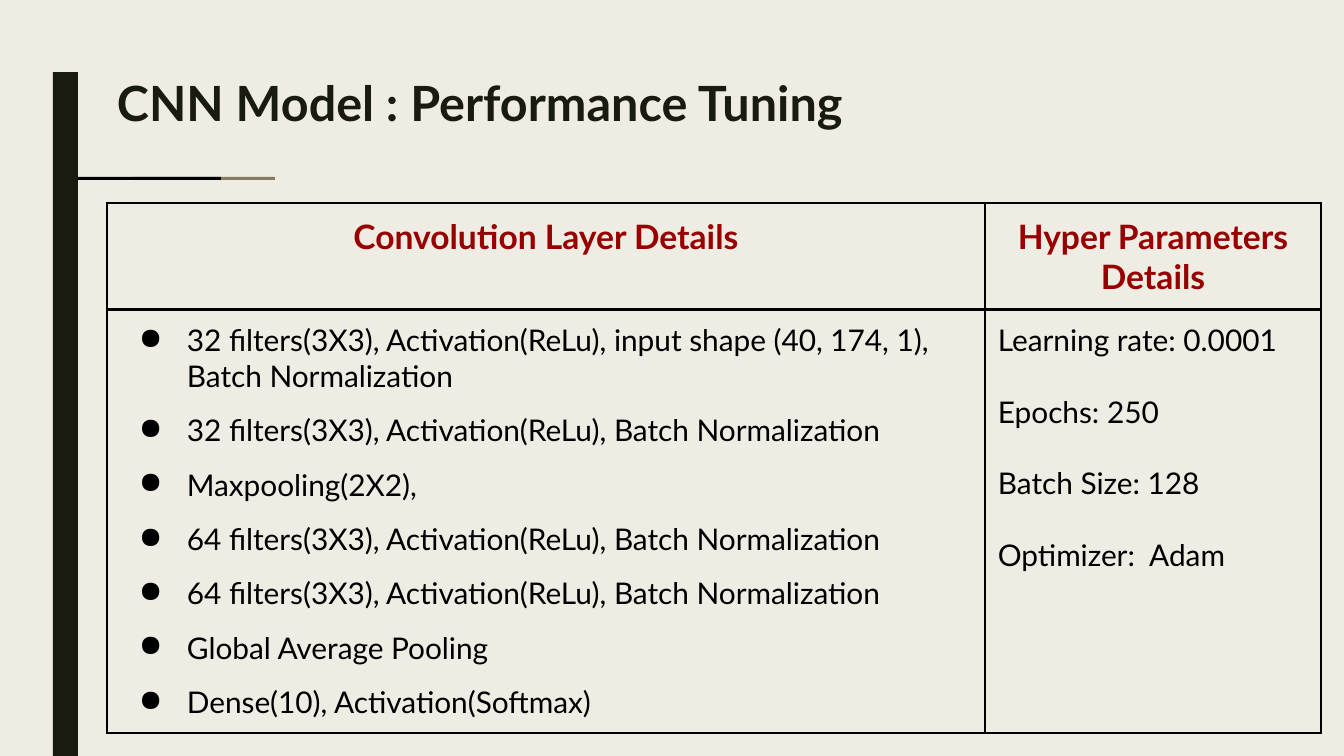
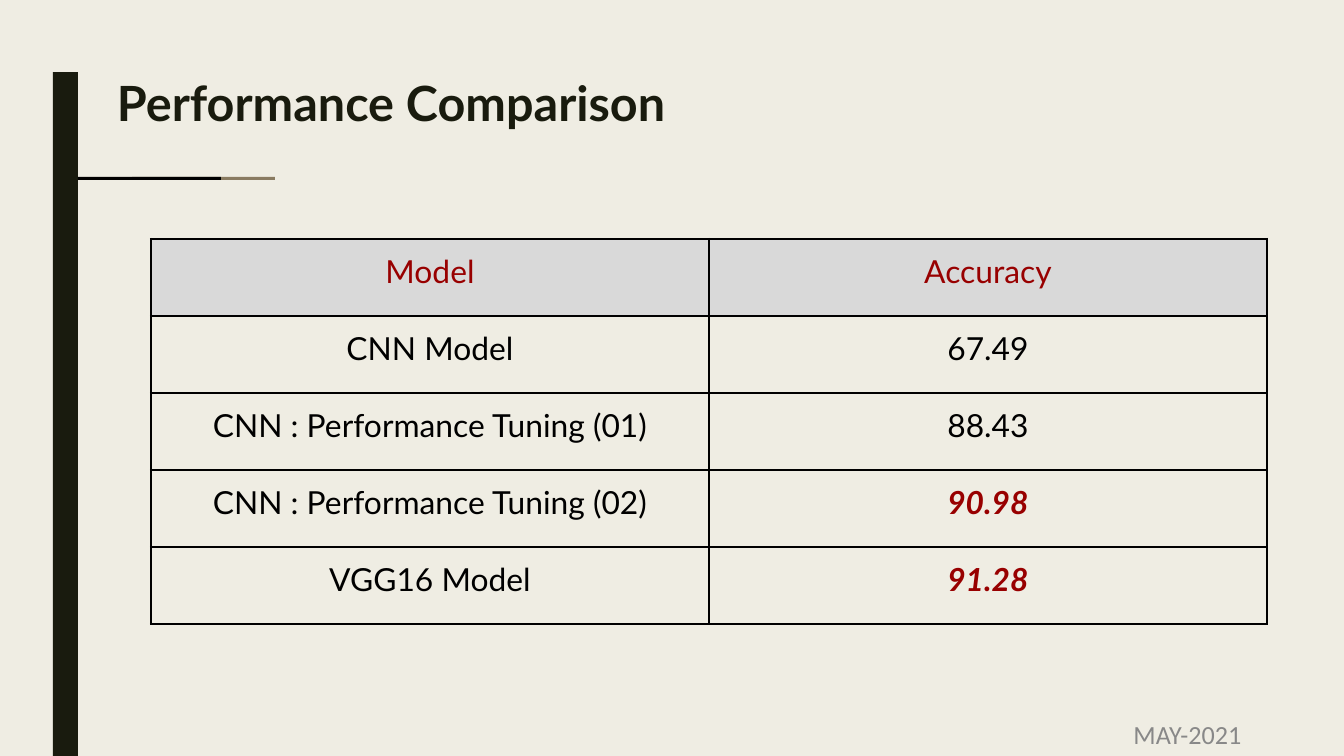
from lxml.etree import SubElement
from pptx import Presentation
from pptx.dml.color import RGBColor
from pptx.enum.shapes import MSO_SHAPE as SHAPE
from pptx.enum.text import MSO_ANCHOR as ANCHOR, MSO_AUTO_SIZE as AUTOSIZE, PP_ALIGN as ALIGN
from pptx.oxml.ns import qn
from pptx.util import Pt

PX = 914400 / 134.4
COLORS = {
    "paper": "EFEDE3",
    "ink": "191B0E",
    "tan": "897B61",
    "black": "000000",
    "red": "980000",
    "header": "D9D9D9",
    "footer": "888888",
}


def px(*lengths):
    return [round(length * PX) for length in lengths]


def add_run(paragraph, text, size, color, font="Lato", bold=False, italic=False):
    run = paragraph.add_run()
    run.text = text
    run.font.name = font
    run.font.size = Pt(size)
    run.font.bold = bold
    run.font.italic = italic
    run.font.color.rgb = RGBColor.from_string(COLORS[color])


prs = Presentation()
prs.slide_width, prs.slide_height = px(1344, 756)
paper = prs.slide_master.background.fill
paper.solid()
paper.fore_color.rgb = RGBColor.from_string(COLORS["paper"])

decorations = [
    ("ink", 53, 0, 25, 756),
    ("paper", 0, 0, 1344, 72),
    ("tan", 132, 177, 143, 3),
    ("black", 78, 177, 143, 3),
]
slides = []
for heading in ["CNN Model : Performance Tuning", "Performance Comparison"]:
    slide = prs.slides.add_slide(prs.slide_layouts[5])
    for color, *box in decorations:
        block = slide.shapes.add_shape(SHAPE.RECTANGLE, *px(*box))
        block.shadow.inherit = False
        block.fill.solid()
        block.fill.fore_color.rgb = RGBColor.from_string(COLORS[color])
        block.line.fill.background()
    title = slide.shapes.title
    title.left, title.top, title.width, title.height = px(108, 75, 1046, 79)
    frame = title.text_frame
    frame.auto_size = AUTOSIZE.NONE
    frame.vertical_anchor = ANCHOR.TOP
    frame.margin_left, frame.margin_right = px(9, 9)
    frame.margin_top, frame.margin_bottom = px(5, 5)
    frame.paragraphs[0].alignment = ALIGN.LEFT
    frame.paragraphs[0].line_spacing = 0.89
    add_run(frame.paragraphs[0], heading, 26, "ink", bold=True)
    slides.append(slide)
tuning, comparison = slides

date = comparison.shapes.add_textbox(*px(1031, 712, 313, 44)).text_frame
date.word_wrap = True
date.vertical_anchor = ANCHOR.MIDDLE
date.paragraphs[0].alignment = ALIGN.CENTER
add_run(date.paragraphs[0], "MAY-2021", 14, "footer", font="Calibri")

details = tuning.shapes.add_table(2, 2, *px(107, 203, 1214, 512)).table
scores = comparison.shapes.add_table(5, 2, *px(151, 239, 1116, 385)).table
grids = [
    (details, [878, 336], [98, 414], None),
    (scores, [558, 558], [77] * 5, "header"),
]
for table, widths, heights, header_fill in grids:
    table.first_row = table.horz_banding = False
    for column, width in zip(table.columns, px(*widths)):
        column.width = width
    for index, (row, height) in enumerate(zip(table.rows, px(*heights))):
        row.height = height
        for cell in row.cells:
            cell.margin_left, cell.margin_right, cell.margin_top, cell.margin_bottom = px(13, 13, 13, 13)
            cell.vertical_anchor = ANCHOR.TOP
            for side in ["a:lnL", "a:lnR", "a:lnT", "a:lnB"]:
                border = SubElement(cell._tc.get_or_add_tcPr(), qn(side), w=str(Pt(1.5)))
                SubElement(SubElement(border, qn("a:solidFill")), qn("a:srgbClr"), val=COLORS["black"])
            if header_fill and index == 0:
                cell.fill.solid()
                cell.fill.fore_color.rgb = RGBColor.from_string(COLORS[header_fill])
            else:
                cell.fill.background()

for column, caption in enumerate(["Convolution Layer Details", "Hyper Parameters Details"]):
    paragraph = details.cell(0, column).text_frame.paragraphs[0]
    paragraph.alignment = ALIGN.CENTER
    add_run(paragraph, caption, 18, "red", bold=True)

layers = [
    "32 filters(3X3), Activation(ReLu), input shape (40, 174, 1), Batch Normalization",
    "32 filters(3X3), Activation(ReLu), Batch Normalization",
    "Maxpooling(2X2),",
    "64 filters(3X3), Activation(ReLu), Batch Normalization",
    "64 filters(3X3), Activation(ReLu), Batch Normalization",
    "Global Average Pooling",
    "Dense(10), Activation(Softmax)",
]
hyper_parameters = ["Learning rate: 0.0001", "Epochs: 250", "Batch Size: 128", "Optimizer:  Adam"]
bullet_margin, bullet_indent = px(67, -48)
for column, (lines, gap, bulleted) in enumerate([(layers, 10, True), (hyper_parameters, 19.2, False)]):
    frame = details.cell(1, column).text_frame
    for index, line in enumerate(lines):
        paragraph = frame.add_paragraph() if index else frame.paragraphs[0]
        paragraph.space_before = Pt(gap if index else 0)
        add_run(paragraph, line, 16, "black")
        if bulleted:
            properties = paragraph._p.get_or_add_pPr()
            properties.set("marL", str(bullet_margin))
            properties.set("indent", str(bullet_indent))
            SubElement(SubElement(properties, qn("a:buClr")), qn("a:srgbClr"), val=COLORS["black"])
            SubElement(properties, qn("a:buChar"), char="●")

results = [
    ("Model", "Accuracy"),
    ("CNN Model", "67.49"),
    ("CNN : Performance Tuning (01)", "88.43"),
    ("CNN : Performance Tuning (02)", "90.98"),
    ("VGG16 Model", "91.28"),
]
best = {"90.98", "91.28"}
for row, entries in enumerate(results):
    for column, entry in enumerate(entries):
        paragraph = scores.cell(row, column).text_frame.paragraphs[0]
        paragraph.alignment = ALIGN.CENTER
        top = entry in best
        add_run(paragraph, entry, 17, "red" if top or row == 0 else "black", bold=top, italic=top)

prs.save("out.pptx")
